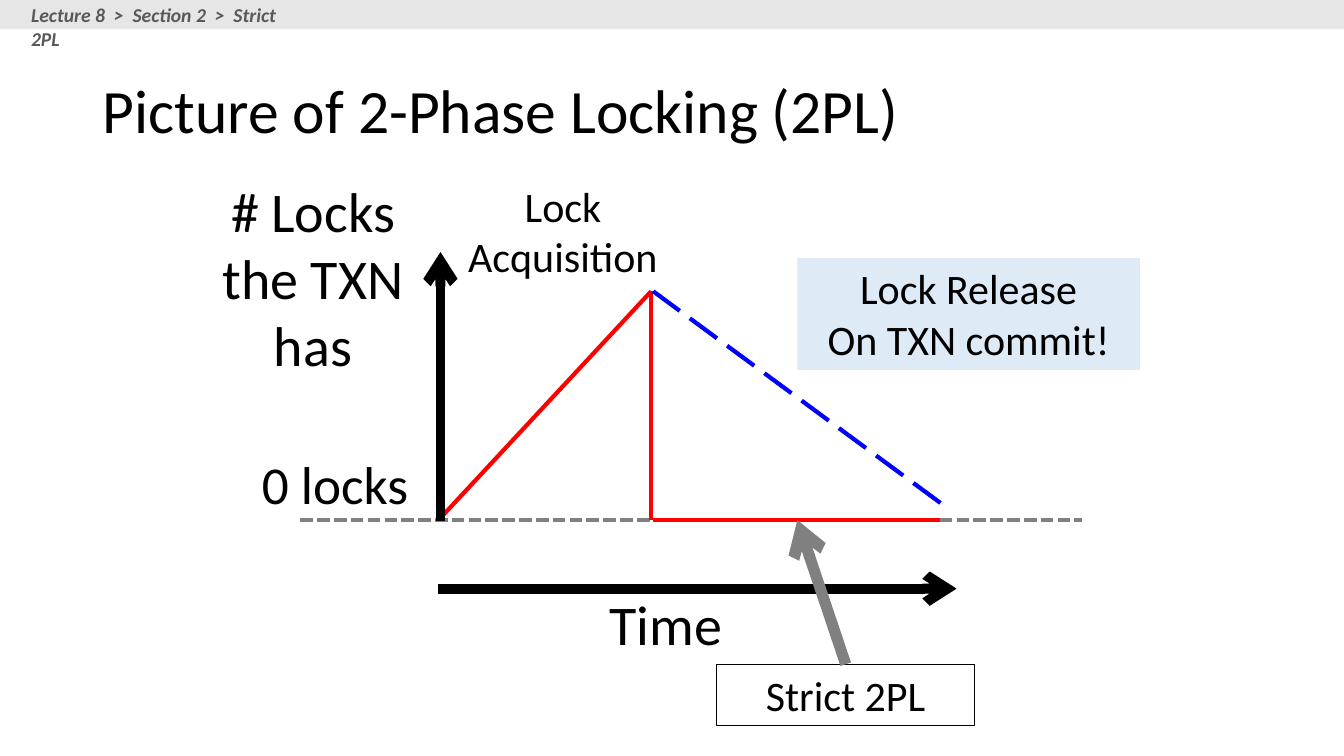
"""Build the lecture slide that charts lock counts under strict two-phase locking."""
from dataclasses import dataclass
from typing import Any, Optional

from lxml.etree import SubElement
from pptx import Presentation
from pptx.dml.color import RGBColor
from pptx.enum.dml import MSO_LINE_DASH_STYLE as Dash
from pptx.enum.shapes import MSO_CONNECTOR as Connector, MSO_SHAPE as Preset
from pptx.enum.text import MSO_ANCHOR as Anchor, MSO_AUTO_SIZE as AutoSize, PP_ALIGN as Align
from pptx.oxml.ns import qn
from pptx.util import Inches, Pt

CELL = Inches(0.1)
COLUMNS, ROWS = 133.33, 75
TITLE_ONLY = 5
COLORS = {
    "black": "000000", "red": "FF0000", "blue": "0000FF", "gray": "808080",
    "pale blue": "DEEBF7", "bar": "E7E6E6", "crumb": "595959",
}

START, PEAK, END = 43.5, 64.6, 93.3
BASE, TOP, TIME_ROW = 51.6, 28.9, 58.4
RELEASE = 64.8
AXIS = 43.7


@dataclass
class Stroke:
    start: tuple[float, float]
    end: tuple[float, float]
    color: str
    width: float = 3
    dash: Optional[Dash] = None
    arrow: bool = False


@dataclass
class Label:
    lines: list[str]
    box: tuple[float, float, float, float]
    size: float
    fill: Optional[str] = None
    outline: Optional[str] = None
    color: str = "black"
    align: Align = Align.CENTER
    emphasis: bool = False


STROKES = [
    Stroke((29.8, BASE), (107.3, BASE), "gray", dash=Dash.SQUARE_DOT),
    Stroke((START, BASE), (PEAK, TOP), "red"),
    Stroke((START, TIME_ROW), (94.9, TIME_ROW), "black", 7, arrow=True),
    Stroke((PEAK, BASE), (PEAK, TOP), "red"),
    Stroke((RELEASE, BASE), (END, BASE), "red"),
    Stroke((END, 49.9), (RELEASE, TOP), "blue", dash=Dash.LONG_DASH),
    Stroke((AXIS, 51.7), (AXIS, 25), "black", 7, arrow=True),
]
LABELS = [
    Label(["Time"], (53, 58, 26.1, 7.7), 40),
    Label(["0 locks"], (24.8, 44.3, 16.9, 7.4), 38),
    Label(["# Locks the TXN has"], (18, 17, 26.1, 21.2), 40),
    Label(["Lock Acquisition"], (43.2, 17.4, 25.3, 11.1), 30),
    Label(["Lock Release", "On TXN commit!"], (79.1, 25.6, 34, 11.1), 30, fill="pale blue"),
    Label([], (0, 0, COLUMNS, 2.9), 14, fill="bar"),
    Label(["Lecture 8  >  Section 2  >  Strict 2PL"], (2.1, -0.2, 29.3, 3.4), 14,
          color="crumb", align=Align.LEFT, emphasis=True),
]
STRICT = Label(["Strict 2PL"], (71.1, 65.9, 25.6, 6.1), 30, outline="black")
POINTER = Stroke((83.9, 65.9), (79.1, BASE), "gray", 8, arrow=True)


def grid(*cells: float) -> list[int]:
    """Turn grid cells into slide lengths."""
    return [round(cell * CELL) for cell in cells]


def rgb(name: str) -> RGBColor:
    """Look up a named colour."""
    return RGBColor.from_string(COLORS[name])


def assign(target: Any, values: dict[str, Any]) -> None:
    """Set every attribute in the dict on the target."""
    for name, value in values.items():
        setattr(target, name, value)


def write(shape: Any, label: Label, anchor: Anchor = Anchor.TOP, spacing: float = 1.0) -> None:
    """Fill a shape with the label's formatted paragraphs."""
    frame = shape.text_frame
    frame.text = "\n".join(label.lines)
    assign(frame, {"word_wrap": True, "auto_size": AutoSize.NONE, "vertical_anchor": anchor})
    for paragraph in frame.paragraphs:
        assign(paragraph, {"alignment": label.align, "line_spacing": spacing})
        for run in paragraph.runs:
            assign(run.font, {"name": "Calibri", "size": Pt(label.size),
                              "bold": label.emphasis, "italic": label.emphasis})
            run.font.color.rgb = rgb(label.color)


def draw_label(slide: Any, label: Label) -> Any:
    """Draw a text box, or a rectangle when the label has a fill or outline."""
    if not (label.fill or label.outline):
        shape = slide.shapes.add_textbox(*grid(*label.box))
    else:
        shape = slide.shapes.add_shape(Preset.RECTANGLE, *grid(*label.box))
        shape.shadow.inherit = False
        if label.fill:
            shape.fill.solid()
            shape.fill.fore_color.rgb = rgb(label.fill)
        else:
            shape.fill.background()
        if label.outline:
            shape.line.color.rgb = rgb(label.outline)
            shape.line.width = Pt(0.75)
        else:
            shape.line.fill.background()
    write(shape, label)
    return shape


def draw_stroke(slide: Any, stroke: Stroke) -> Any:
    """Draw a straight line, dashed or with an arrowhead as described."""
    connector = slide.shapes.add_connector(Connector.STRAIGHT, *grid(*stroke.start, *stroke.end))
    line = connector.line
    line.color.rgb = rgb(stroke.color)
    line.width = Pt(stroke.width)
    if stroke.dash is not None:
        line.dash_style = stroke.dash
    properties = connector._element.spPr
    if stroke.arrow:
        SubElement(properties.find(qn("a:ln")), qn("a:tailEnd"), type="arrow")
    SubElement(properties, qn("a:effectLst"))
    return connector


def main() -> None:
    """Assemble and save the slide."""
    presentation = Presentation()
    width, height = grid(COLUMNS, ROWS)
    assign(presentation, {"slide_width": width, "slide_height": height})
    slide = presentation.slides.add_slide(presentation.slide_layouts[TITLE_ONLY])

    heading = Label(["Picture of 2-Phase Locking (2PL)"], (9.2, 4, 115, 14.5), 44, align=Align.LEFT)
    title = slide.shapes.title
    assign(title, dict(zip(("left", "top", "width", "height"), grid(*heading.box))))
    write(title, heading, Anchor.MIDDLE, 0.9)

    for stroke in STROKES:
        draw_stroke(slide, stroke)
    strict_box = draw_label(slide, STRICT)
    draw_stroke(slide, POINTER).begin_connect(strict_box, 0)
    for label in LABELS:
        draw_label(slide, label)

    presentation.save("out.pptx")


if __name__ == "__main__":
    main()
